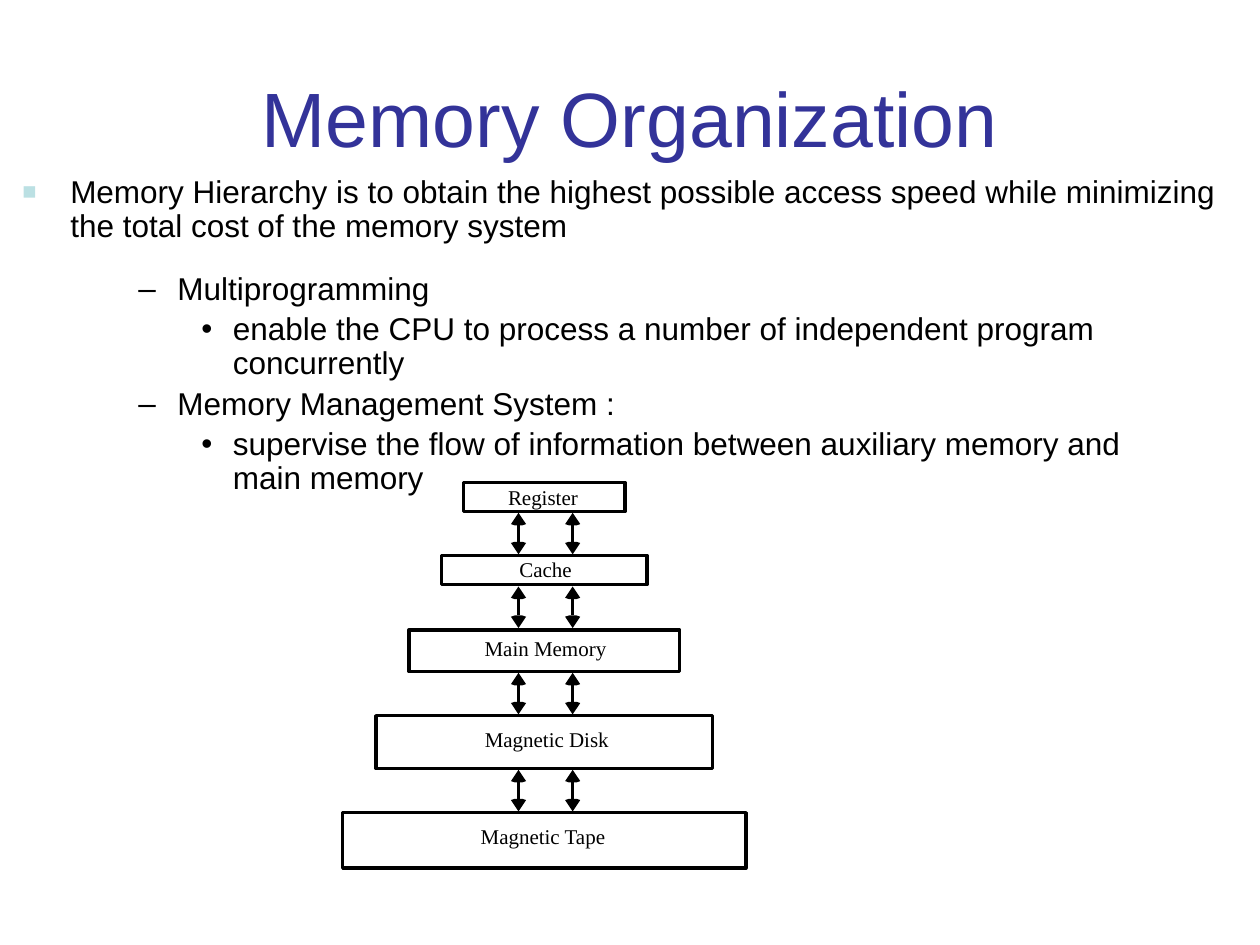
from lxml import etree
from pptx import Presentation
from pptx.dml.color import RGBColor
from pptx.enum.shapes import MSO_CONNECTOR, MSO_SHAPE
from pptx.enum.text import MSO_ANCHOR, PP_ALIGN
from pptx.oxml.ns import qn
from pptx.util import Inches, Pt

STRAIGHT = MSO_CONNECTOR.STRAIGHT
RECTANGLE = MSO_SHAPE.RECTANGLE
MIDDLE, TOP = MSO_ANCHOR.MIDDLE, MSO_ANCHOR.TOP
CENTER = PP_ALIGN.CENTER

BLACK, TITLE_BLUE, BULLET_BLUE = "000000", "333399", "BBE0E3"

TITLE = "Memory Organization"
INTRO = [(0, "Memory Hierarchy is to obtain the highest possible access speed "
             "while minimizing the total cost of the memory system")]
DETAILS = [
    (1, "Multiprogramming"),
    (2, "enable the CPU to process a number of independent program concurrently"),
    (1, "Memory Management System :"),
    (2, "supervise the flow of information between auxiliary memory and main memory"),
]
# Per outline level: text indent, hanging indent, bullet, bullet colour, bullet size %
BULLET_STYLES = [
    (0.38, 0.38, "■", BULLET_BLUE, 75),
    (0.81, 0.31, "–", BLACK, 100),
    (1.25, 0.25, "•", BLACK, 100),
]
# Label, box top, width and height, then label left, top and width
MEMORY_LEVELS = [
    ("Register", 3.83, 1.28, 0.23, 3.88, 3.82, 0.86),
    ("Cache", 4.41, 1.63, 0.23, 3.98, 4.39, 0.70),
    ("Main Memory", 5.00, 2.15, 0.33, 3.70, 5.02, 1.26),
    ("Magnetic Disk", 5.68, 2.67, 0.42, 3.68, 5.74, 1.32),
    ("Magnetic Tape", 6.45, 3.20, 0.44, 3.63, 6.51, 1.36),
]
PYRAMID_CENTER = 4.32
LABEL_HEIGHT = 0.28
ARROW_COLUMNS = (4.115, 4.545)
ARROW_LENGTH = 0.33
# Offsets from the tip of a head that points down
HEAD_OUTLINE = [(0, 0), (-0.06, -0.09), (-0.03, -0.1), (0.03, -0.1), (0.06, -0.09)]
HEAD_LENGTH = 0.1


def color(hex_string):
    return RGBColor.from_string(hex_string)


def add_text(slide, box, lines, size, font_color, font="Arial", anchor=TOP,
             wrap=True, align=None, line_spacing=0.9):
    text_box = slide.shapes.add_textbox(*map(Inches, box))
    frame = text_box.text_frame
    frame.text = "\n".join(lines)
    frame.word_wrap = wrap
    frame.vertical_anchor = anchor
    for paragraph in frame.paragraphs:
        paragraph.alignment = align
        paragraph.line_spacing = line_spacing
        run_font = paragraph.runs[0].font
        run_font.name, run_font.size = font, Pt(size)
        run_font.color.rgb = color(font_color)
    return frame


def add_outline(slide, box, items):
    frame = add_text(slide, box, [text for _, text in items], 18, BLACK)
    for paragraph, (level, _) in zip(frame.paragraphs, items):
        indent, hanging, bullet, bullet_color, percent = BULLET_STYLES[level]
        paragraph.level = level
        paragraph.space_before = Pt(3.6)
        properties = paragraph._p.get_or_add_pPr()
        properties.set("marL", str(Inches(indent)))
        properties.set("indent", str(-Inches(hanging)))
        bullet_fill = etree.SubElement(properties, qn("a:buClr"))
        etree.SubElement(bullet_fill, qn("a:srgbClr"), val=bullet_color)
        etree.SubElement(properties, qn("a:buSzPct"), val=str(percent * 1000))
        etree.SubElement(properties, qn("a:buFont"), typeface="Arial")
        etree.SubElement(properties, qn("a:buChar"), char=bullet)


def add_arrow_head(slide, x, tip, direction):
    """Draw a head with its tip at (x, tip); direction is 1 for down, -1 for up."""
    points = [(Inches(x + dx), Inches(tip + direction * dy)) for dx, dy in HEAD_OUTLINE]
    builder = slide.shapes.build_freeform(*points[0])
    builder.add_line_segments(points[1:], close=True)
    head = builder.convert_to_shape()
    head.shadow.inherit = False
    head.fill.solid()
    head.fill.fore_color.rgb = color(BLACK)
    head.line.fill.background()


def add_double_arrow(slide, x, top):
    bottom = top + ARROW_LENGTH
    add_arrow_head(slide, x, bottom, 1)
    add_arrow_head(slide, x, top, -1)
    shaft = slide.shapes.add_connector(
        STRAIGHT, Inches(x), Inches(top + HEAD_LENGTH),
        Inches(x), Inches(bottom - HEAD_LENGTH))
    shaft.line.color.rgb = color(BLACK)
    shaft.line.width = Pt(2)
    etree.SubElement(shaft._element.spPr, qn("a:effectLst"))


def add_memory_level(slide, label, top, width, height, label_left, label_top, label_width):
    box = slide.shapes.add_shape(
        RECTANGLE, Inches(PYRAMID_CENTER - width / 2), Inches(top),
        Inches(width), Inches(height))
    box.shadow.inherit = False
    box.fill.background()
    box.line.color.rgb = color(BLACK)
    box.line.width = Pt(2)
    add_text(slide, (label_left, label_top, label_width, LABEL_HEIGHT), [label], 12,
             BLACK, font="Times New Roman", wrap=False, align=CENTER)


def main():
    presentation = Presentation()
    presentation.slide_width, presentation.slide_height = Inches(10), Inches(7.5)
    slide = presentation.slides.add_slide(presentation.slide_layouts[6])

    add_outline(slide, (0.5, 2.12, 9, 1.48), DETAILS)
    add_outline(slide, (0.08, 1.35, 9.83, 0.66), INTRO)
    for level in MEMORY_LEVELS:
        add_memory_level(slide, *level)
    for upper, lower in zip(MEMORY_LEVELS, MEMORY_LEVELS[1:]):
        gap_middle = (upper[1] + upper[3] + lower[1]) / 2
        for x in ARROW_COLUMNS:
            add_double_arrow(slide, x, gap_middle - ARROW_LENGTH / 2)
    add_text(slide, (0.5, 0.3, 9, 1.25), [TITLE], 44, TITLE_BLUE,
             anchor=MIDDLE, align=CENTER, line_spacing=1.0)
    presentation.save("out.pptx")


if __name__ == "__main__":
    main()
